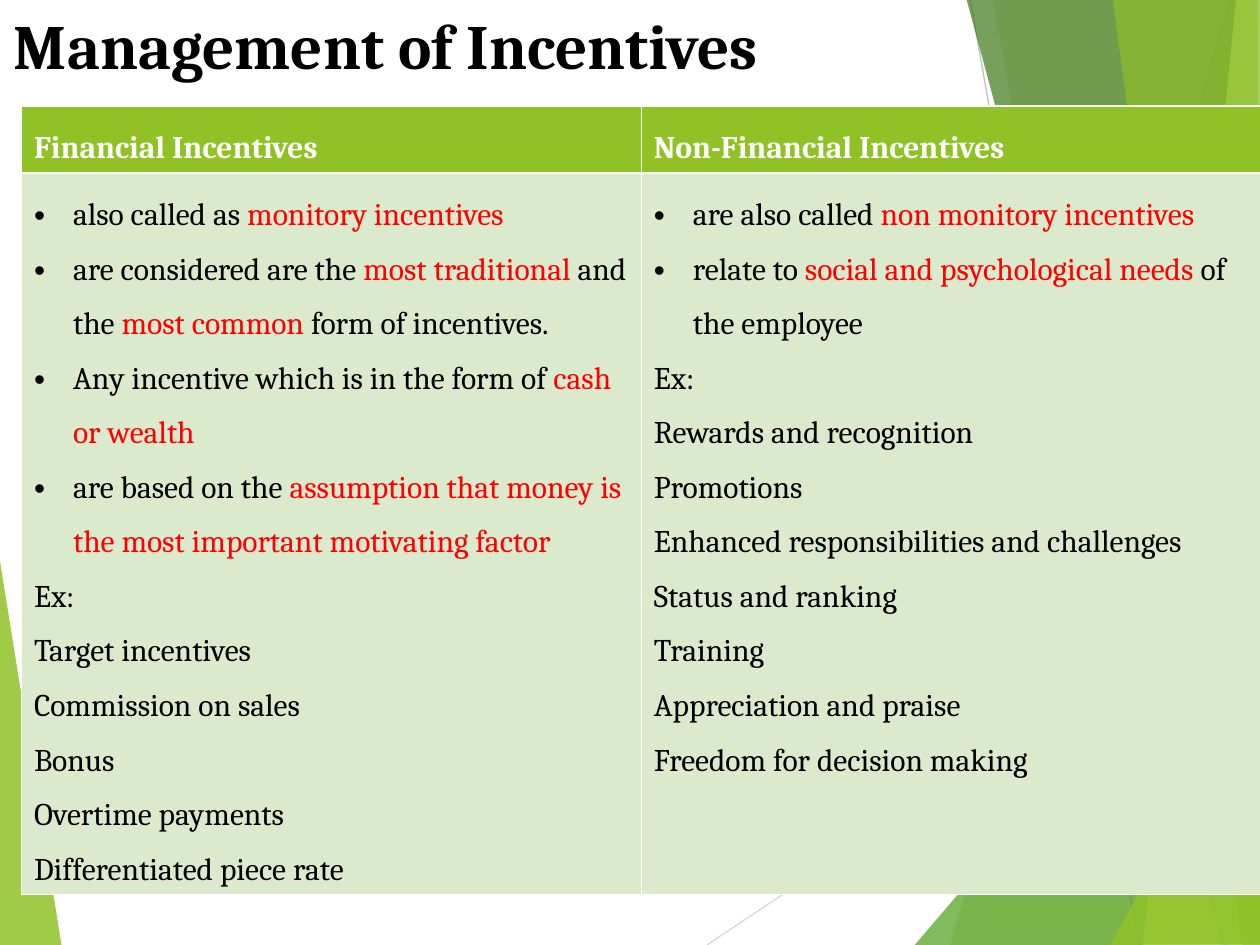
import pptx
import pptx.dml.color
import pptx.enum.shapes
import pptx.enum.text
import pptx.oxml.ns
import pptx.util
from lxml import etree
from pptx.util import Inches

FONT = "Cambria"
GREEN, BLACK, RED, WHITE = "90C226", "000000", "FF0000", "FFFFFF"

# Points, colour and opacity in percent, from back to front
FACETS_BEHIND = [
    ([(-0.01, 4.39), (0.49, 7.51), (-0.01, 7.5)], GREEN, 85),
]
FACETS = [
    ([(9.75, 0), (7.54, 7.5), (10.02, 7.51), (10.01, 0.01)], GREEN, 30),
    ([(7.88, -0.01), (9.19, 7.5), (10.01, 7.5), (10.01, -0.01)], GREEN, 20),
    ([(7.26, 7.5), (10, 4.29), (10.01, 7.5)], "54A021", 72),
    ([(7.67, -0.01), (9.7, 7.5), (10.01, 7.49), (10.01, -0.01)], "3F7819", 70),
    ([(9.81, -0.01), (9.07, 7.5), (10.01, 7.5), (10, -0.01)], "C0E474", 70),
    ([(8.83, -0.01), (9.86, 7.5), (10, 7.5), (9.98, -0.01)], GREEN, 65),
    ([(8.81, 7.5), (10.01, 5.35), (10.01, 7.49)], GREEN, 80),
]

# Header, bullets and examples of each column; every second part
# between bars is highlighted
COLUMNS = [
    ("Financial Incentives",
     ["also called as |monitory incentives",
      "are considered are the |most traditional |and the |most common "
      "|form of incentives.",
      "Any incentive which is in the form of |cash or wealth",
      "are based on the |assumption that money is the most important "
      "motivating factor"],
     ["Ex:", "Target incentives", "Commission on sales", "Bonus",
      "Overtime payments", "Differentiated piece rate"]),
    ("Non-Financial Incentives",
     ["are also called |non monitory incentives",
      "relate to |social and psychological needs |of the employee"],
     ["Ex:", "Rewards and recognition", "Promotions",
      "Enhanced responsibilities and challenges", "Status and ranking",
      "Training", "Appreciation and praise", "Freedom for decision making"]),
]


def rgb(value):
    return pptx.dml.color.RGBColor.from_string(value)


def add_element(parent, tag, **attributes):
    element = etree.SubElement(parent, pptx.oxml.ns.qn(tag))
    for name, value in attributes.items():
        element.set(name, str(value))
    return element


def format_span(span, size, color, bold=False):
    span.font.name = FONT
    span.font.size = pptx.util.Pt(size)
    span.font.bold = bold
    span.font.color.rgb = rgb(color)


def add_facet(page, points, color, opacity):
    corners = [(Inches(x), Inches(y)) for x, y in points]
    builder = page.shapes.build_freeform(*corners[0])
    builder.add_line_segments(corners[1:], close=True)
    facet = builder.convert_to_shape()
    facet.shadow.inherit = False
    facet.line.fill.background()
    facet.fill.solid()
    facet.fill.fore_color.rgb = rgb(color)
    tint = facet.fill._xPr.find(".//" + pptx.oxml.ns.qn("a:srgbClr"))
    add_element(tint, "a:alpha", val=opacity * 1000)


def add_line(page, start, end, color):
    line = page.shapes.add_connector(
        pptx.enum.shapes.MSO_CONNECTOR.STRAIGHT,
        *(Inches(value) for value in start + end))
    line.line.color.rgb = rgb(color)
    line.line.width = pptx.util.Pt(0.75)
    add_element(line._element.spPr, "a:effectLst")


def set_title(page, text):
    title = page.shapes.title
    title.left, title.top = Inches(0.01), Inches(0)
    title.width, title.height = Inches(8.5), Inches(1.25)
    frame = title.text_frame
    frame.text = text
    frame.vertical_anchor = pptx.enum.text.MSO_ANCHOR.TOP
    para = frame.paragraphs[0]
    para.alignment = pptx.enum.text.PP_ALIGN.LEFT
    format_span(para.runs[0], 36, BLACK, bold=True)


def style_cell(cell, color):
    """Fill the cell and draw thin white borders around it."""
    properties = cell._tc.get_or_add_tcPr()
    for side in ("a:lnL", "a:lnR", "a:lnT", "a:lnB"):
        border = add_element(properties, side, w=pptx.util.Pt(1))
        add_element(add_element(border, "a:solidFill"), "a:srgbClr", val=WHITE)
    cell.fill.solid()
    cell.fill.fore_color.rgb = rgb(color)


def write_paragraph(para, text, color=BLACK, bold=False, bullet=False):
    if bullet:
        properties = para._p.get_or_add_pPr()
        properties.set("marL", str(Inches(0.31)))
        properties.set("indent", str(-Inches(0.31)))
        add_element(properties, "a:buFont", typeface="Arial")
        add_element(properties, "a:buChar", char="•")
    para.line_spacing = 1.5
    for index, part in enumerate(text.split("|")):
        span = para.add_run()
        span.text = part
        format_span(span, 18, RED if index % 2 else color, bold)


def add_comparison(page):
    table = page.shapes.add_table(
        2, len(COLUMNS), Inches(0.17), Inches(0.84),
        Inches(9.84), Inches(6.25)).table
    table.horz_banding = False
    table.rows[0].height = Inches(0.53)
    table.rows[1].height = Inches(5.72)
    for index, (header, bullets, examples) in enumerate(COLUMNS):
        table.columns[index].width = Inches(4.92)
        head, body = table.cell(0, index), table.cell(1, index)
        style_cell(head, GREEN)
        style_cell(body, "DBE9CD")
        write_paragraph(head.text_frame.paragraphs[0], header, WHITE, True)
        frame = body.text_frame
        for position, text in enumerate(bullets + examples):
            para = frame.add_paragraph() if position else frame.paragraphs[0]
            write_paragraph(para, text, bullet=position < len(bullets))


def main():
    deck = pptx.Presentation()
    deck.slide_width, deck.slide_height = Inches(10), Inches(7.5)
    page = deck.slides.add_slide(deck.slide_layouts[5])
    for facet in FACETS_BEHIND:
        add_facet(page, *facet)
    add_line(page, (5.61, 7.5), (10.01, 4.57), "D9D9D9")
    add_line(page, (7.7, 0), (9.04, 7.5), "BFBFBF")
    for facet in FACETS:
        add_facet(page, *facet)
    set_title(page, "Management of Incentives")
    add_comparison(page)
    deck.save("out.pptx")


if __name__ == "__main__":
    main()
